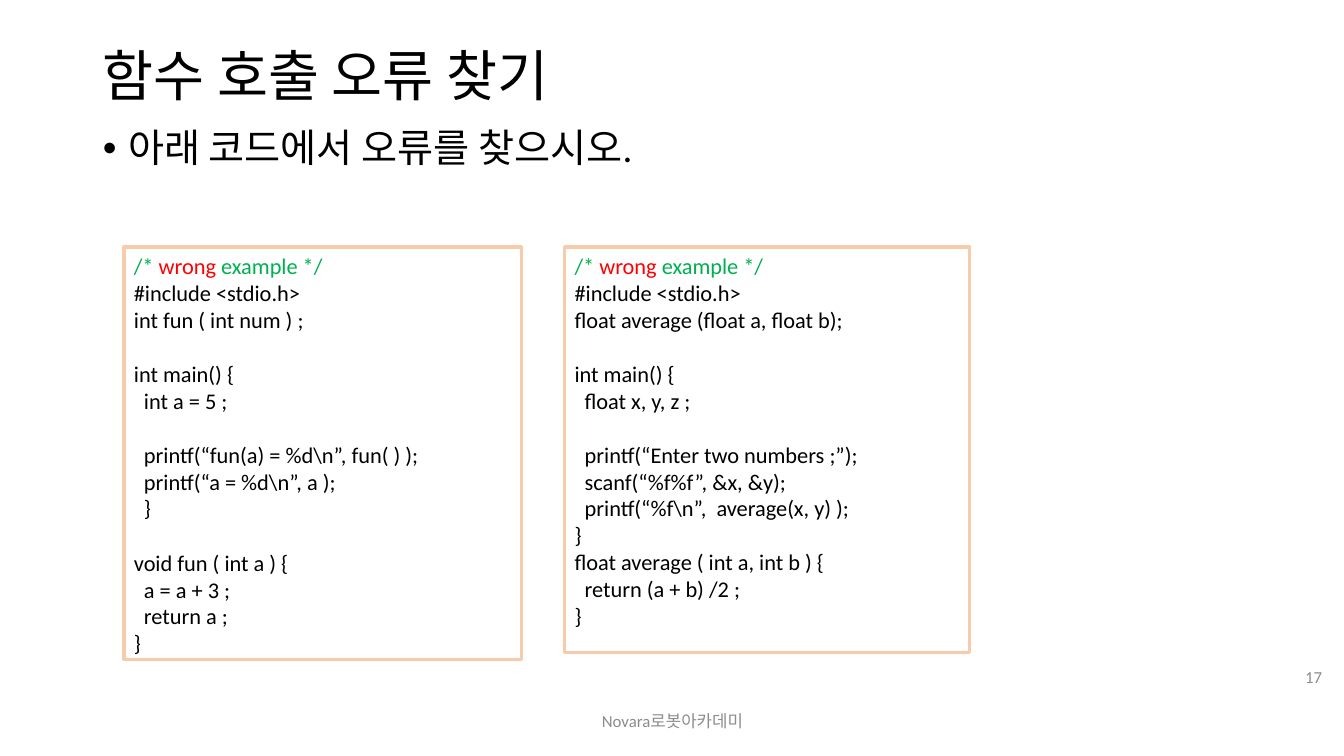
"""Build the slide about finding function call errors in two C programs."""
from pptx import Presentation
from pptx.dml.color import RGBColor
from pptx.enum.shapes import MSO_SHAPE
from pptx.enum.text import MSO_ANCHOR, MSO_AUTO_SIZE, PP_ALIGN
from pptx.util import Inches, Pt

COLORS = {
    "text": "000000",
    "muted": "8C8C8C",
    "comment": "00B050",
    "wrong": "FF0000",
    "box": "FFFFFF",
    "border": "F8CBAD",
}
CODE_LINE_HEIGHT = 19.5
SPACE_WIDTH = 0.05

FUN_CODE = r"""#include <stdio.h>
int fun ( int num ) ;

int main() {
  int a = 5 ;

  printf(“fun(a) = %d\n”, fun( ) );
  printf(“a = %d\n”, a );
  }

void fun ( int a ) {
  a = a + 3 ;
  return a ;
}"""

AVERAGE_CODE = r"""#include <stdio.h>
float average (float a, float b);

int main() {
  float x, y, z ;

  printf(“Enter two numbers ;”);
  scanf(“%f%f”, &x, &y);
  printf(“%f\n”,  average(x, y) );
}
float average ( int a, int b ) {
  return (a + b) /2 ;
}"""


def style_font(font, size, color):
    font.name = "Calibri"
    font.size = Pt(size)
    font.color.rgb = RGBColor.from_string(COLORS[color])


def place(shape, left, top, width, height):
    shape.left, shape.top = Inches(left), Inches(top)
    shape.width, shape.height = Inches(width), Inches(height)


presentation = Presentation()
presentation.slide_width = Inches(13.33)
presentation.slide_height = Inches(7.5)
slide = presentation.slides.add_slide(presentation.slide_layouts[1])

title = slide.shapes.title
body = slide.placeholders[1]
place(title, 0.92, 0.4, 11.5, 0.75)
place(body, 0.92, 1.23, 11.5, 5.53)
for placeholder, text, size, anchor in (
    (title, "함수 호출 오류 찾기", 39.6, MSO_ANCHOR.MIDDLE),
    (body, "아래 코드에서 오류를 찾으시오.", 28, MSO_ANCHOR.TOP),
):
    frame = placeholder.text_frame
    frame.text = text
    frame.auto_size = MSO_AUTO_SIZE.NONE
    frame.vertical_anchor = anchor
    paragraph = frame.paragraphs[0]
    paragraph.alignment = PP_ALIGN.LEFT
    paragraph.line_spacing = 0.9
    style_font(paragraph.font, size, "text")

bullet = body.text_frame.paragraphs[0]
bullet.space_before = Pt(10)
bullet_properties = bullet._p.get_or_add_pPr()
bullet_properties.set("marL", str(Inches(0.25)))
bullet_properties.set("indent", str(Inches(-0.25)))

for text, left, top, width, alignment in (
    ("Novara로봇아카데미", 4.42, 6.95, 4.5, PP_ALIGN.CENTER),
    ("17", 12.59, 6.51, 0.62, PP_ALIGN.RIGHT),
):
    label = slide.shapes.add_textbox(Inches(left), Inches(top), Inches(width), Inches(0.4))
    frame = label.text_frame
    frame.word_wrap = True
    frame.vertical_anchor = MSO_ANCHOR.MIDDLE
    frame.text = text
    paragraph = frame.paragraphs[0]
    paragraph.alignment = alignment
    style_font(paragraph.font, 12, "muted")

for code, left, width, height in (
    (AVERAGE_CODE, 5.6, 4.02, 4.02),
    (FUN_CODE, 1.23, 3.94, 4.09),
):
    code_box = slide.shapes.add_shape(
        MSO_SHAPE.RECTANGLE, Inches(left), Inches(2.45), Inches(width), Inches(height)
    )
    code_box.shadow.inherit = False
    code_box.fill.solid()
    code_box.fill.fore_color.rgb = RGBColor.from_string(COLORS["box"])
    code_box.line.color.rgb = RGBColor.from_string(COLORS["border"])
    code_box.line.width = Pt(2.25)
    frame = code_box.text_frame
    frame.word_wrap = True
    frame.vertical_anchor = MSO_ANCHOR.TOP

    heading = frame.paragraphs[0]
    heading.alignment = PP_ALIGN.LEFT
    for text, color in (("/* ", "comment"), ("wrong", "wrong"), (" example */", "comment")):
        run = heading.add_run()
        run.text = text
        style_font(run.font, 16, color)

    gap = 0
    for line in code.splitlines():
        if not line:
            gap = CODE_LINE_HEIGHT
            continue
        statement = line.lstrip()
        paragraph = frame.add_paragraph()
        paragraph.text = statement
        paragraph.alignment = PP_ALIGN.LEFT
        paragraph.space_before = Pt(gap)
        indent = Inches(SPACE_WIDTH * (len(line) - len(statement)))
        paragraph._p.get_or_add_pPr().set("marL", str(indent))
        style_font(paragraph.font, 16, "text")
        gap = 0

presentation.save("out.pptx")
